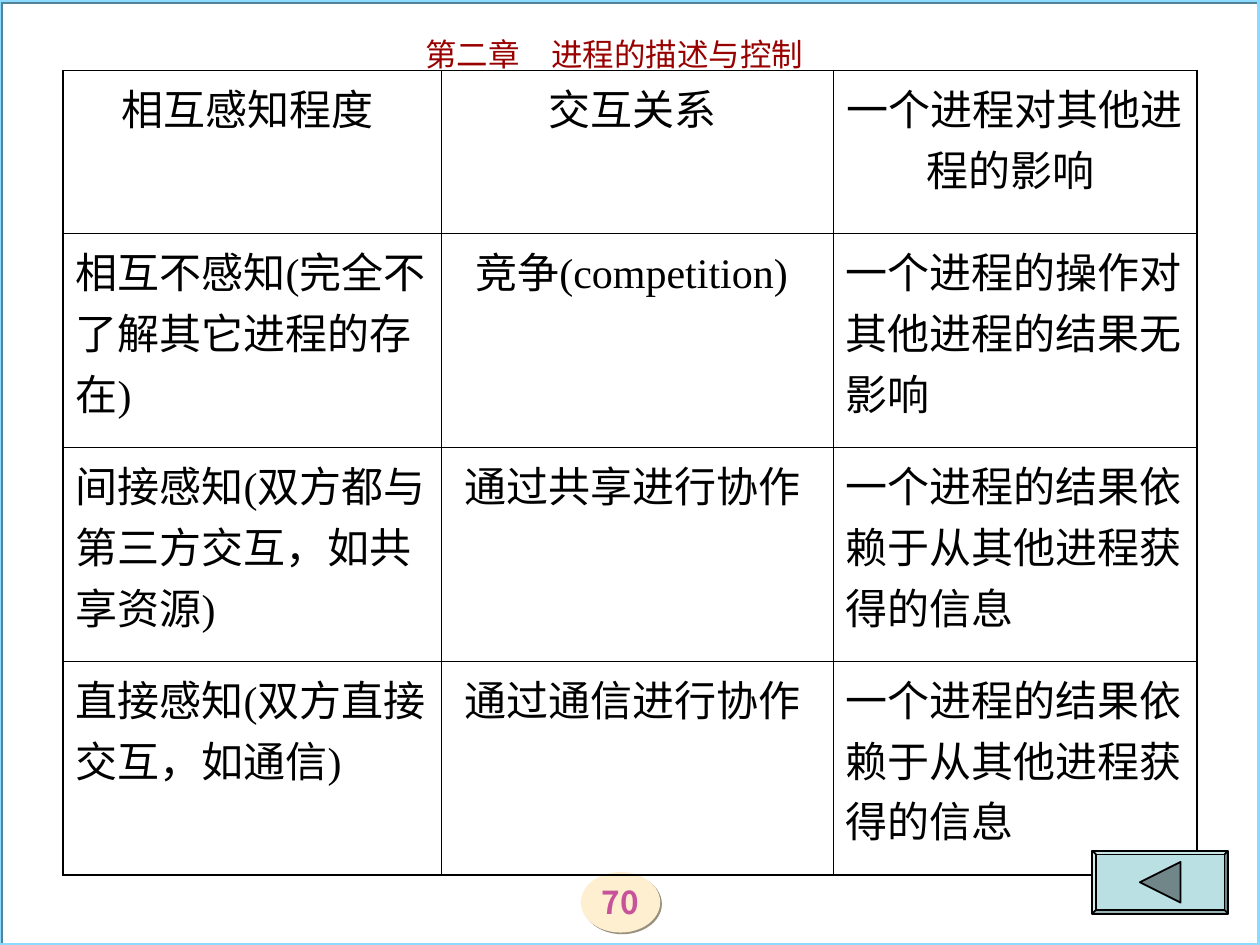
from itertools import groupby

from lxml import etree
from pptx import Presentation
from pptx import util as u
from pptx.dml.color import RGBColor
from pptx.enum import shapes, text
from pptx.oxml import ns

BLACK = RGBColor(0x00, 0x00, 0x00)
DARK_RED = RGBColor(0x99, 0x00, 0x00)
PINK = RGBColor(0xC7, 0x53, 0x99)
CREAM = RGBColor(0xFF, 0xEF, 0xD1)
CREAM_SHADE = RGBColor(0x99, 0x8F, 0x7D)
SKY = RGBColor(0x8A, 0xDB, 0xFF)
SKY_SHADE = RGBColor(0x53, 0x83, 0x99)
TEAL = RGBColor(0xBB, 0xE0, 0xE3)
TEAL_SHADE = RGBColor(0x70, 0x86, 0x88)

CJK = "Noto Sans CJK SC"
CJK_TITLE = "Noto Sans CJK JP"
LATIN = "Times New Roman"
THICK, THIN = 1.08, 0.45
CENTER = text.PP_ALIGN.CENTER
LEFT = text.PP_ALIGN.LEFT

ROWS = [
    ["相互感知程度 ", "交互关系 ", "一个进程对其他进程的影响 "],
    ["相互不感知(完全不了解其它进程的存在)", "竞争(competition) ",
     "一个进程的操作对其他进程的结果无影响"],
    ["间接感知(双方都与第三方交互，如共享资源)", "通过共享进行协作 ",
     "一个进程的结果依赖于从其他进程获得的信息"],
    ["直接感知(双方直接交互，如通信)", "通过通信进行协作 ",
     "一个进程的结果依赖于从其他进程获得的信息"],
]


def add_xml(parent, tag, **attributes):
    return etree.SubElement(parent, ns.qn(tag), attributes)


def add_solid(parent, color):
    add_xml(add_xml(parent, "a:solidFill"), "a:srgbClr", val=str(color))


class SlideBuilder:
    def __init__(self, deck):
        self.slide = deck.slides.add_slide(deck.slide_layouts[5])

    def add_span(self, para, words, color, east_asian=CJK, **font):
        span = para.add_run()
        span.text = words
        for name, value in font.items():
            setattr(span.font, name, value)
        span.font.color.rgb = color
        add_xml(span.font._element, "a:ea", typeface=east_asian)

    def title(self, words, left, top, width, height):
        box = self.slide.shapes.title
        place = {"left": left, "top": top, "width": width, "height": height}
        for name, value in place.items():
            setattr(box, name, u.Cm(value))
        frame = box.text_frame
        frame.word_wrap = True
        frame.auto_size = text.MSO_AUTO_SIZE.NONE
        frame.vertical_anchor = text.MSO_ANCHOR.TOP
        para = frame.paragraphs[0]
        para.alignment = CENTER
        para.space_before = u.Pt(0)
        self.add_span(para, words, DARK_RED, CJK_TITLE,
                      name=CJK_TITLE, size=u.Pt(18), bold=False)

    def shape(self, kind, left, top, width, height,
              fill=None, line=None, weight=1, shade=None):
        """Add a preset shape; shade is the colour of its hard shadow."""
        item = self.slide.shapes.add_shape(
            kind, *map(u.Cm, (left, top, width, height)))
        item.shadow.inherit = False
        if fill is None:
            item.fill.background()
        else:
            item.fill.solid()
            item.fill.fore_color.rgb = fill
        if line is None:
            item.line.fill.background()
        else:
            item.line.color.rgb = line
            item.line.width = u.Pt(weight)
        if shade is not None:
            effects = item._element.spPr.find(ns.qn("a:effectLst"))
            shadow = add_xml(effects, "a:outerShdw", dist=str(u.Pt(1.4)),
                             dir="2700000", algn="ctr", rotWithShape="0")
            add_xml(shadow, "a:srgbClr", val=str(shade))
        return item

    def page_number(self, number, *place):
        badge = self.shape(shapes.MSO_SHAPE.OVAL, *place,
                           fill=CREAM, shade=CREAM_SHADE)
        frame = badge.text_frame
        for side in ("left", "top", "right", "bottom"):
            setattr(frame, f"margin_{side}", 0)
        frame.vertical_anchor = text.MSO_ANCHOR.MIDDLE
        para = frame.paragraphs[0]
        para.alignment = CENTER
        self.add_span(para, number, PINK, name=CJK, size=u.Pt(18), bold=True)

    def back_button(self, left, top, width, height):
        button = self.shape(shapes.MSO_SHAPE.BEVEL, left, top, width, height,
                            fill=TEAL, line=BLACK)
        button.adjustments[0] = 0.06
        side = 0.82
        arrow = self.shape(shapes.MSO_SHAPE.ISOSCELES_TRIANGLE,
                           left + (width - side) / 2, top + (height - side) / 2,
                           side, side, fill=TEAL_SHADE, line=BLACK)
        arrow.rotation = 270

    def borders(self, cell, weights):
        properties = cell._tc.get_or_add_tcPr()
        for position, (side, weight) in enumerate(weights.items()):
            line = etree.Element(ns.qn(f"a:ln{side}"), w=str(u.Pt(weight)))
            add_solid(line, BLACK)
            properties.insert(position, line)

    def table(self, rows, left, top, widths, heights):
        frame = self.slide.shapes.add_table(
            len(rows), len(widths), u.Cm(left), u.Cm(top),
            u.Cm(sum(widths)), u.Cm(sum(heights)))
        grid = frame.table
        for column, width in zip(grid.columns, widths):
            column.width = u.Cm(width)
        for row, height in zip(grid.rows, heights):
            row.height = u.Cm(height)
        last_row, last_column = len(rows) - 1, len(widths) - 1
        for r, row in enumerate(rows):
            for c, words in enumerate(row):
                cell = grid.cell(r, c)
                cell.fill.background()
                self.borders(cell, {
                    "L": THICK if c == 0 else THIN,
                    "R": THICK if c == last_column else THIN,
                    "T": THICK if r == 0 else THIN,
                    "B": THICK if r == last_row else THIN,
                })
                para = cell.text_frame.paragraphs[0]
                para.alignment = CENTER if r == 0 or c == 1 else LEFT
                for is_latin, letters in groupby(words, str.isascii):
                    self.add_span(para, "".join(letters), BLACK,
                                  name=LATIN if is_latin else CJK,
                                  size=u.Pt(24), bold=False)


def main():
    deck = Presentation()
    deck.slide_width, deck.slide_height = u.Cm(25.4), u.Cm(19.05)
    page = SlideBuilder(deck)
    page.page_number("70", 11.71, 17.58, 1.6, 1.22)
    page.shape(shapes.MSO_SHAPE.RECTANGLE, -0.02, 0, 25.4, 19.05,
               line=SKY, weight=2.25, shade=SKY_SHADE)
    page.title("第二章　进程的描述与控制", 5.28, 0.58, 14.2, 1.02)
    page.table(ROWS, 1.27, 1.42, [7.62, 7.9, 7.34], [3.29] + [4.31] * 3)
    page.back_button(22.02, 17.15, 2.74, 1.27)
    deck.save("out.pptx")


if __name__ == "__main__":
    main()
